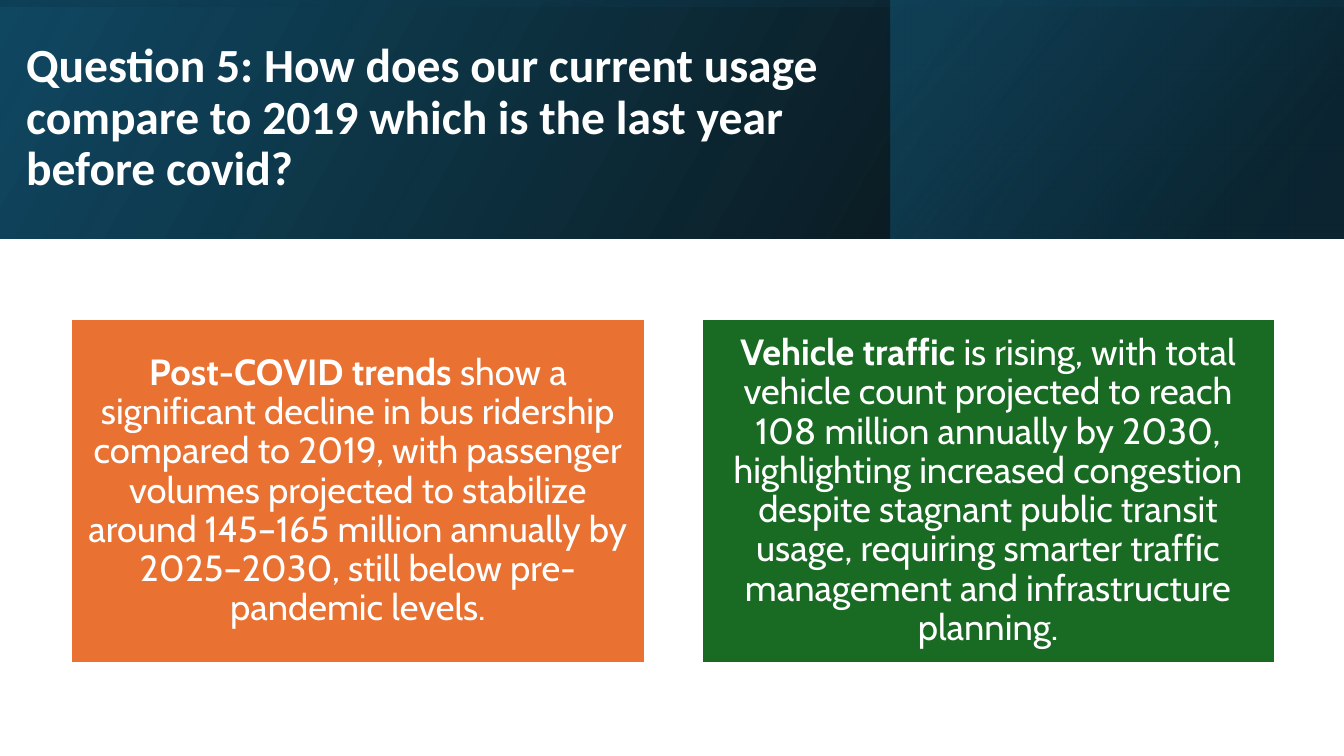
from pptx import Presentation
from pptx.dml.color import RGBColor
from pptx.enum.shapes import MSO_SHAPE as Shape
from pptx.enum.text import MSO_ANCHOR as Anchor, PP_ALIGN as Align
from pptx.oxml import parse_xml as to_xml
from pptx.oxml.ns import nsdecls
from pptx.util import Cm, Pt

WHITE = RGBColor(0xFF, 0xFF, 0xFF)
BLACK = RGBColor(0x00, 0x00, 0x00)
NAVY = RGBColor(0x10, 0x48, 0x62)
DEEP = RGBColor(0x0B, 0x30, 0x41)
TEAL = RGBColor(0x15, 0x60, 0x82)
ORANGE = RGBColor(0xE9, 0x71, 0x32)
GREEN = RGBColor(0x19, 0x6B, 0x24)

WIDTH, HEIGHT = 33.87, 19.05
BAND = 6.02
SPLIT = 22.45
CARD_LEFT, CARD_TOP = 1.8, 8.05
CARD_WIDTH, CARD_HEIGHT = 14.45, 8.66
CARD_STEP = 15.88

TITLE = ("Question 5: How does our current usage compare to 2019 "
         "which is the last year before covid?")
CARDS = [
    (ORANGE, "Post-COVID trends",
     " show a significant decline in bus ridership compared to 2019, with "
     "passenger volumes projected to stabilize around 145–165 million "
     "annually by 2025–2030, still below pre-pandemic levels."),
    (GREEN, "Vehicle traffic",
     " is rising, with total vehicle count projected to reach 108 million "
     "annually by 2030, highlighting increased congestion despite stagnant "
     "public transit usage, requiring smarter traffic management and "
     "infrastructure planning."),
]


def add_rect(slide, left, top, width, height):
    rect = slide.shapes.add_shape(
        Shape.RECTANGLE, Cm(left), Cm(top), Cm(width), Cm(height))
    rect.shadow.inherit = False
    return rect


def add_fade(slide, box, stops, angle, turn=0):
    rect = add_rect(slide, *box)
    rect.line.fill.background()
    rect.rotation = turn
    props = rect._element.spPr
    props.xfrm.set("flipH", "1")
    marks = "".join(
        f'<a:gs pos="{place * 1000}"><a:srgbClr val="{color}">'
        f'<a:alpha val="{alpha * 1000}"/></a:srgbClr></a:gs>'
        for place, color, alpha in stops)
    fade = to_xml(
        f'<a:gradFill {nsdecls("a")} rotWithShape="1"><a:gsLst>{marks}</a:gsLst>'
        f'<a:lin ang="{angle * 60000}" scaled="0"/></a:gradFill>')
    props.prstGeom.addnext(fade)


def add_run(para, text, font, size, bold):
    run = para.add_run()
    run.text = text
    run.font.name = font
    run.font.size = Pt(size)
    run.font.bold = bold
    run.font.color.rgb = WHITE


def set_frame(shape, align):
    frame = shape.text_frame
    frame.word_wrap = True
    frame.vertical_anchor = Anchor.MIDDLE
    para = frame.paragraphs[0]
    para.alignment = align
    para.line_spacing = 0.9
    return frame, para


def add_title(slide):
    box = slide.shapes.add_textbox(Cm(0.41), Cm(0.81), Cm(21.62), Cm(4.37))
    frame, para = set_frame(box, Align.LEFT)
    add_run(para, TITLE, "Calibri", 34, True)


def add_card(slide, left, color, lead, body):
    card = add_rect(slide, left, CARD_TOP, CARD_WIDTH, CARD_HEIGHT)
    card.fill.solid()
    card.fill.fore_color.rgb = color
    card.line.color.rgb = WHITE
    card.line.width = Pt(1.5)
    frame, para = set_frame(card, Align.CENTER)
    frame.margin_left = frame.margin_right = Cm(0.28)
    frame.margin_top = frame.margin_bottom = Cm(0.28)
    add_run(para, lead, "Cabin", 26, True)
    add_run(para, body, "Cabin", 26, False)


def main():
    deck = Presentation()
    deck.slide_width, deck.slide_height = Cm(WIDTH), Cm(HEIGHT)
    slide = deck.slides.add_slide(deck.slide_layouts[6])

    add_fade(slide, (0, 0, WIDTH, BAND),
             [(0, BLACK, 96), (100, NAVY, 100)], 330)
    add_fade(slide, (SPLIT, 0, WIDTH - SPLIT, BAND),
             [(19, DEEP, 68), (100, TEAL, 48)], 320)
    shift = (WIDTH - BAND) / 2
    add_fade(slide, (shift, -shift, BAND, WIDTH),
             [(23, NAVY, 16), (99, BLACK, 45)], 350, 270)

    add_title(slide)
    for index, (color, lead, body) in enumerate(CARDS):
        add_card(slide, CARD_LEFT + index * CARD_STEP, color, lead, body)

    deck.save("out.pptx")


if __name__ == "__main__":
    main()
